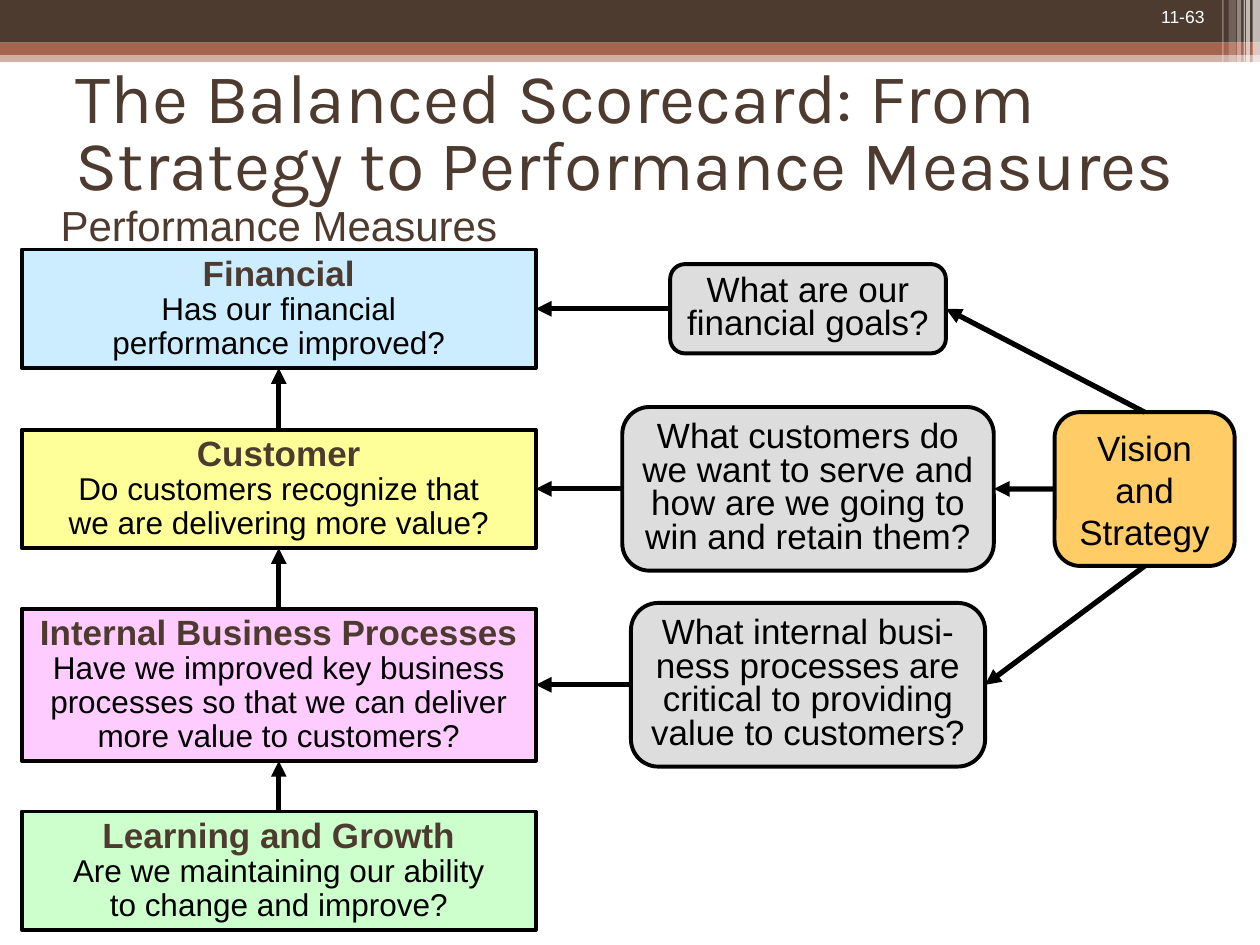
from dataclasses import dataclass

from lxml import etree
from pptx import Presentation
from pptx.dml.color import RGBColor
from pptx.enum.shapes import MSO_CONNECTOR, MSO_SHAPE
from pptx.enum.text import MSO_ANCHOR, MSO_AUTO_SIZE, PP_ALIGN
from pptx.oxml.ns import qn
from pptx.util import Cm, Pt

RECT, ROUND = MSO_SHAPE.RECTANGLE, MSO_SHAPE.ROUNDED_RECTANGLE
LINE = MSO_CONNECTOR.STRAIGHT
MIDDLE, FIXED = MSO_ANCHOR.MIDDLE, MSO_AUTO_SIZE.NONE
LEFT, CENTER, RIGHT = PP_ALIGN.LEFT, PP_ALIGN.CENTER, PP_ALIGN.RIGHT
# Connection sites of a box
TOP, WEST, BASE, EAST = range(4)


@dataclass(frozen=True)
class Theme:
    brown: str = "4E3B30"
    rust: str = "A5644E"
    white: str = "FFFFFF"
    black: str = "000000"
    gray: str = "DDDDDD"
    gold: str = "FFCC66"
    head: str = "Karla"
    body: str = "Arial"
    title: int = 40
    label: int = 24
    large: int = 20
    text: int = 18
    small: int = 10
    edge: float = 2.25
    arrow: float = 3


THEME = Theme()

# Name, question, fill, top and height in cm
MEASURES = [
    ("Financial", "Has our financial\vperformance improved?",
     "CCECFF", 0, 2.39),
    ("Customer", "Do customers recognize that\vwe are delivering more value?",
     "FFFF99", 3.63, 2.39),
    ("Internal Business Processes",
     "Have we improved key business processes so that we can deliver "
     "more value to customers?", "FFCCFF", 7.24, 3.07),
    ("Learning and Growth",
     "Are we maintaining our ability\vto change and improve?",
     "CCFFCC", 11.33, 2.39),
]

# Text, width and height in cm
GOALS = [
    ("What are our\vfinancial goals?", 5.56, 1.8),
    ("What customers do\vwe want to serve and\vhow are we going to\v"
     "win and retain them?", 7.49, 3.3),
    ("What internal busi-\vness processes are\vcritical to providing\v"
     "value to customers?", 7.14, 3.3),
]

# Left, width, height in cm and opacity in percent
STRIPES = [
    (25.25, 0.15, 1.73, 65), (25.12, 0.08, 1.73, 65), (25.07, 0.03, 1.73, 60),
    (24.94, 0.08, 1.73, 40), (24.77, 0.15, 1.63, 20), (24.64, 0.03, 1.63, 30),
]


def color(code):
    return RGBColor.from_string(code)


def style(para, text, size, code=THEME.black, face=THEME.body,
          bold=False, align=CENTER, space=1.0):
    para.text = text
    para.alignment = align
    para.line_spacing = space
    font = para.font
    font.name, font.size, font.bold = face, Pt(size), bold
    font.color.rgb = color(code)


def add_box(slide, kind, left, top, width, height, fill, edge=True, alpha=100):
    box = slide.shapes.add_shape(kind, left, top, width, height)
    box.shadow.inherit = False
    box.fill.solid()
    box.fill.fore_color.rgb = color(fill)
    if alpha < 100:
        tint = box.fill._xPr.find(qn("a:solidFill"))[0]
        etree.SubElement(tint, qn("a:alpha"), val=str(alpha * 1000))
    if edge:
        box.line.color.rgb = color(THEME.black)
        box.line.width = Pt(THEME.edge)
    else:
        box.line.fill.background()
    box.text_frame.word_wrap = True
    box.text_frame.vertical_anchor = MIDDLE
    return box


def add_label(slide, left, top, width, height, text, size, code, align):
    frame = slide.shapes.add_textbox(left, top, width, height).text_frame
    frame.word_wrap = True
    style(frame.paragraphs[0], text, size, code, align=align)


def add_arrow(slide, start, out, end, into):
    arrow = slide.shapes.add_connector(LINE, 0, 0, 0, 0)
    arrow.begin_connect(start, out)
    arrow.end_connect(end, into)
    arrow.line.color.rgb = color(THEME.black)
    arrow.line.width = Pt(THEME.arrow)
    props = arrow._element.spPr
    etree.SubElement(props.find(qn("a:ln")), qn("a:tailEnd"), type="triangle")
    etree.SubElement(props, qn("a:effectLst"))


def add_header(slide, left, top, width):
    # Bands across the slide
    bands = [(1.02, 0.23, THEME.rust, 50), (0, 0.86, THEME.brown, 100),
             (0.86, 0.25, THEME.rust, 100)]
    for drop, height, fill, alpha in bands:
        add_box(slide, RECT, left, top + Cm(drop), width, Cm(height),
                fill, False, alpha)
    # Fine stripes at the right end
    for shift, wide, height, alpha in STRIPES:
        add_box(slide, RECT, left + Cm(shift), top, Cm(wide), Cm(height),
                THEME.white, False, alpha)
    # Page number
    add_label(slide, left + Cm(21.79), top, Cm(2.74), Cm(0.69),
              "11-63", THEME.small, THEME.white, RIGHT)


def add_title(slide, left, top, width, height):
    title = slide.shapes.title
    title.left, title.top, title.width, title.height = left, top, width, height
    frame = title.text_frame
    frame.auto_size, frame.vertical_anchor = FIXED, MIDDLE
    style(frame.paragraphs[0],
          "The Balanced Scorecard: From\vStrategy to Performance Measures",
          THEME.title, THEME.brown, THEME.head, align=LEFT, space=0.8)


def add_measures(slide, left, top, width):
    add_label(slide, left + Cm(0.53), top - Cm(1.14), Cm(9.3), Cm(1.27),
              "Performance Measures", THEME.label, THEME.brown, CENTER)
    boxes = []
    for name, ask, fill, drop, height in MEASURES:
        box = add_box(slide, RECT, left, top + Cm(drop), width, Cm(height),
                      fill)
        frame = box.text_frame
        style(frame.paragraphs[0], name, THEME.large, THEME.brown,
              bold=True, space=0.9)
        style(frame.add_paragraph(), ask, THEME.text, space=0.9)
        boxes.append(box)
    # Each measure drives the one above
    for upper, lower in zip(boxes, boxes[1:]):
        add_arrow(slide, lower, TOP, upper, BASE)
    return boxes


def add_goals(slide, center, boxes):
    # Each goal is level with its measure
    goals = []
    for (text, wide, high), box in zip(GOALS, boxes):
        width, height = Cm(wide), Cm(high)
        goal = add_box(slide, ROUND, center - width // 2,
                       box.top + (box.height - height) // 2,
                       width, height, THEME.gray)
        goal.text_frame.word_wrap = False
        style(goal.text_frame.paragraphs[0], text, THEME.large, space=0.8)
        add_arrow(slide, goal, WEST, box, EAST)
        goals.append(goal)
    return goals


def add_vision(slide, left, top, width, height, goals):
    box = add_box(slide, ROUND, left, top, width, height, THEME.gold)
    style(box.text_frame.paragraphs[0], "Vision and Strategy", THEME.large)
    for goal, site in zip(goals, (TOP, WEST, BASE)):
        add_arrow(slide, box, site, goal, EAST)


def main():
    deck = Presentation()
    deck.slide_width, deck.slide_height = Cm(25.4), Cm(19.05)
    slide = deck.slides.add_slide(deck.slide_layouts[5])
    add_header(slide, 0, 0, deck.slide_width)
    add_title(slide, Cm(1.27), Cm(1.27), Cm(22.86), Cm(2.97))
    boxes = add_measures(slide, Cm(0.44), Cm(5.03), Cm(10.36))
    goals = add_goals(slide, Cm(16.29), boxes)
    add_vision(slide, Cm(21.26), Cm(8.31), Cm(3.63), Cm(3.1), goals)
    deck.save("out.pptx")


if __name__ == "__main__":
    main()
